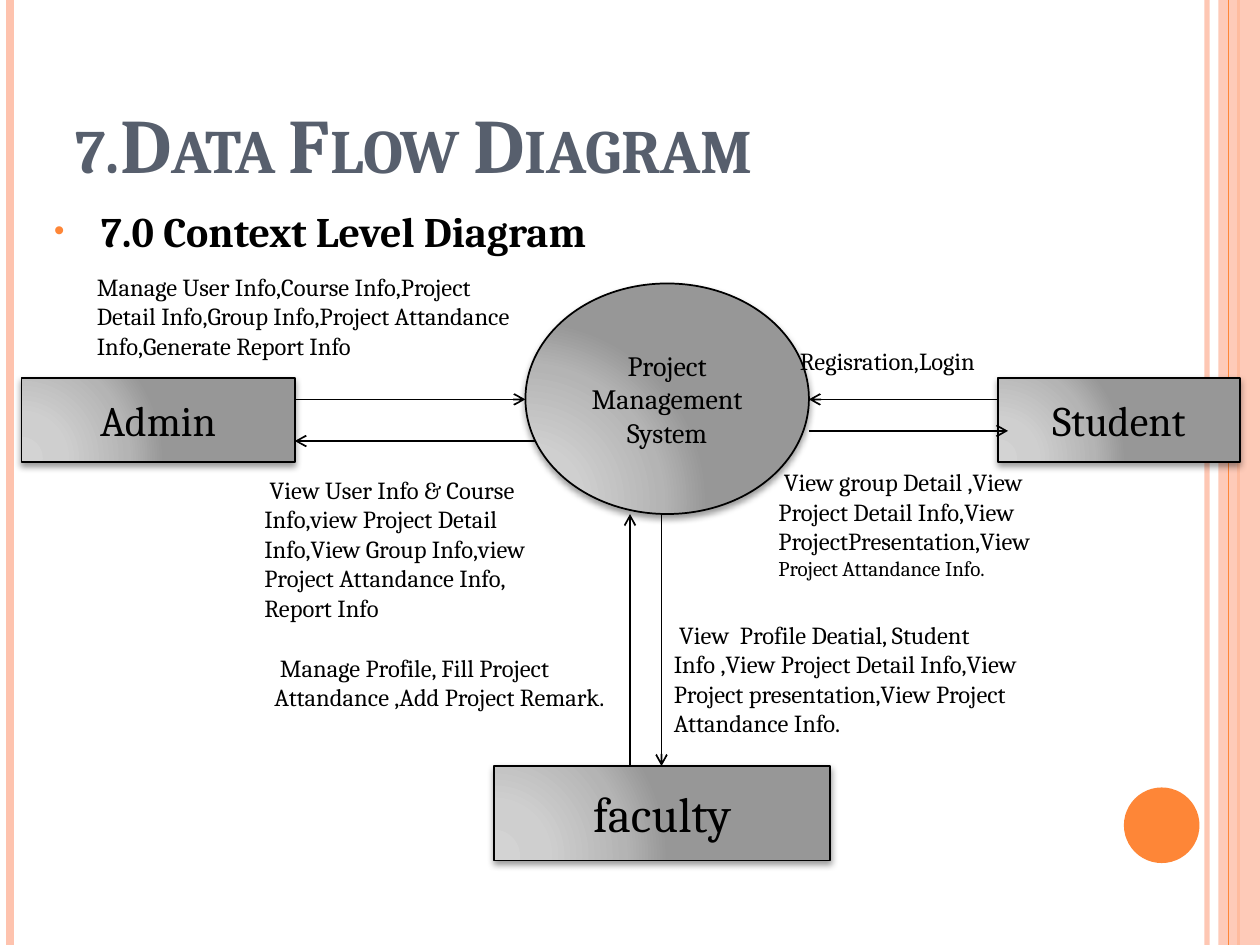
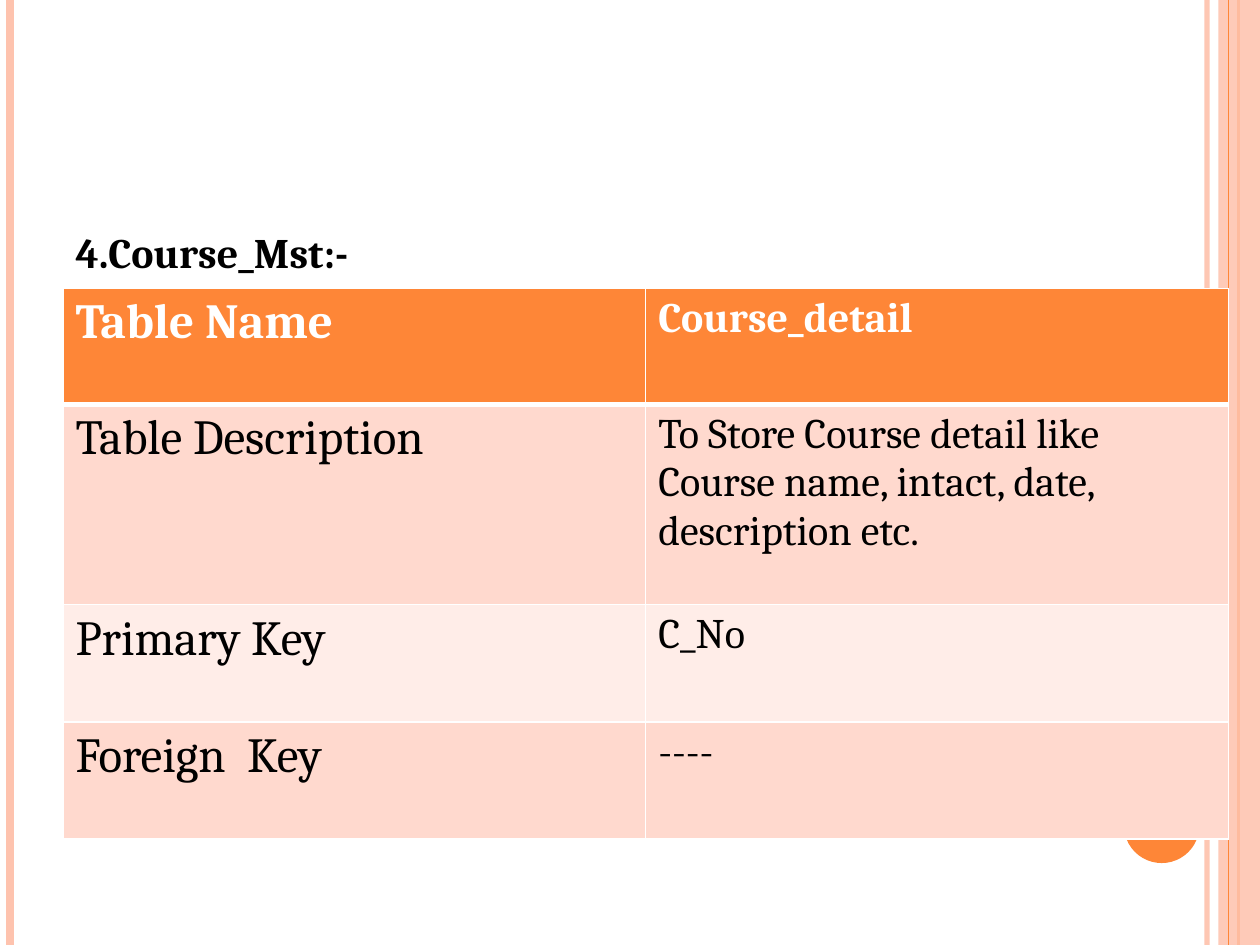
from collections import namedtuple
from dataclasses import dataclass

from lxml import etree
from pptx import Presentation
from pptx.dml.color import RGBColor
from pptx.enum import shapes as kinds, text as txt
from pptx.oxml import ns
from pptx.util import Inches, Pt

Box = namedtuple("Box", "x y w h")


@dataclass(frozen=True)
class Theme:
    font: str = "Cambria"
    ink: str = "000000"
    paper: str = "FFFFFF"
    slate: str = "575F6D"
    accent: str = "FE8637"
    peach: str = "FEC3AE"
    bands: tuple = ("FFD9CE", "FFEDE8")
    greys: tuple = ((0, "D3D3D3"), (30, "CFCFCF"), (75, "B4B4B4"), (100, "979797"))
    title: int = 44
    large: int = 28
    head: int = 24
    node: int = 16
    note: int = 14
    small: int = 12


T = Theme()
FORM, KIND = kinds.MSO_SHAPE, kinds.MSO_CONNECTOR
PAGE = Box(0, 0, 10, 7.5)


def rgb(code):
    return RGBColor.from_string(code)


def sub(parent, tag, **attrs):
    return etree.SubElement(parent, ns.qn(tag), {k: str(v) for k, v in attrs.items()})


def inch(box):
    return [Inches(v) for v in box]


def within(box, x, y, w, h):
    return Box(box.x + x, box.y + y, w, h)


def style(para, size, color=T.ink, bold=False):
    for run in para.runs:
        font = run.font
        font.name, font.size, font.bold = T.font, Pt(size), bold
        font.color.rgb = rgb(color)


def fade(part, alpha):
    """Make the solid colour found in the part see-through."""
    sub(part.find(".//" + ns.qn("a:srgbClr")), "a:alpha", val=alpha * 1000)


def stroke(slide, start, end, color, width):
    line = slide.shapes.add_connector(KIND.STRAIGHT, *inch(start + end))
    line.line.color.rgb = rgb(color)
    line.line.width = Pt(width)
    sub(line._element.spPr, "a:effectLst")
    return line


def solid(slide, form, box, color):
    shape = slide.shapes.add_shape(form, *inch(box))
    shape.shadow.inherit = False
    shape.fill.solid()
    shape.fill.fore_color.rgb = rgb(color)
    shape.line.fill.background()
    return shape


def frame(slide, box):
    """Draw the side bands and the dot shared by all slides."""
    def rule(x, color, width):
        x += box.x
        return stroke(slide, (x, box.y), (x, box.y + box.h), color, width)

    fade(rule(9.58, T.peach, 3).line._ln, 93)
    rule(0.08, T.peach, 4.5)
    rule(9.83, T.accent, 1.5)
    band = solid(slide, FORM.RECTANGLE, within(box, 9.67, 0, 0.33, box.h), T.peach)
    fade(band._element.spPr, 87)
    rule(9.75, T.accent, 0.75)
    solid(slide, FORM.OVAL, within(box, 8.92, 6.25, 0.6, 0.6), T.accent)


def place(holder, box, words):
    holder.left, holder.top, holder.width, holder.height = inch(box)
    frame = holder.text_frame
    frame.text = words
    frame.auto_size = txt.MSO_AUTO_SIZE.NONE
    return frame


def title(slide, box, words):
    frame = place(slide.shapes.title, box, words)
    frame.vertical_anchor = txt.MSO_ANCHOR.BOTTOM
    para = frame.paragraphs[0]
    para.alignment = txt.PP_ALIGN.LEFT
    style(para, T.title, T.slate, True)
    para.runs[0].font._element.set("cap", "small")


def body(slide, box, words, bullet=None):
    para = place(slide.placeholders[1], box, words).paragraphs[0]
    props = para._p.get_or_add_pPr()
    props.set("marL", str(Inches(0.3)))
    props.set("indent", str(Inches(-0.3)))
    if bullet:
        sub(sub(props, "a:buClr"), "a:srgbClr", val=T.accent)
        sub(props, "a:buSzPct", val=70000)
        sub(props, "a:buChar", char=bullet)
    else:
        sub(props, "a:buNone")
    para.space_before = Pt(0)
    style(para, T.head, bold=True)


def node(slide, form, box, words, size):
    """Draw a labelled box with a grey radial fill and a soft shadow."""
    shape = slide.shapes.add_shape(form, *inch(box))
    shape.line.color.rgb = rgb(T.ink)
    shape.line.width = Pt(1)
    props = shape._element.spPr
    grad = etree.Element(ns.qn("a:gradFill"), rotWithShape="1")
    stops = sub(grad, "a:gsLst")
    for pos, color in T.greys:
        sub(sub(stops, "a:gs", pos=pos * 1000), "a:srgbClr", val=color)
    sub(sub(grad, "a:path", path="circle"), "a:fillToRect",
        l=5000, t=100000, r=120000, b=10000)
    props.find(ns.qn("a:ln")).addprevious(grad)
    cast = sub(sub(props, "a:effectLst"), "a:outerShdw", blurRad=Pt(4),
               dist=Pt(2), dir=90 * 60000, rotWithShape=0)
    sub(sub(cast, "a:srgbClr", val=T.ink), "a:alpha", val=40000)
    text = shape.text_frame
    text.text = words
    text.word_wrap = True
    text.vertical_anchor = txt.MSO_ANCHOR.MIDDLE
    para = text.paragraphs[0]
    para.alignment = txt.PP_ALIGN.CENTER
    style(para, size)


def arrow(slide, start, end):
    line = stroke(slide, start, end, T.ink, 1)
    sub(line.line._ln, "a:tailEnd", type="arrow")


def note(slide, box, words, ending=""):
    """Write a flow label, whose ending is set in smaller type."""
    text = slide.shapes.add_textbox(*inch(box)).text_frame
    text.text = words
    text.word_wrap = True
    para = text.paragraphs[0]
    if ending:
        para.add_run().text = ending
    style(para, T.note)
    if ending:
        para.runs[1].font.size = Pt(T.small)


def flow(slide, box):
    """Draw the system, its three users and the data between them."""
    for form, spot, words, size in (
        (FORM.FLOWCHART_CONNECTOR, (4, 0.25, 2.25, 1.83),
         "Project Management System", T.node),
        (FORM.RECTANGLE, (3.75, 4.08, 2.67, 0.75), "faculty", T.large),
        (FORM.RECTANGLE, (0, 1, 2.17, 0.67), "Admin", T.head),
        (FORM.RECTANGLE, (7.75, 1, 1.92, 0.67), "Student", T.head),
    ):
        node(slide, form, within(box, *spot), words, size)
    for x1, y1, x2, y2 in (
        (5.08, 2.08, 5.08, 4.08), (4.83, 4.08, 4.83, 2.08),
        (2.17, 1.17, 4, 1.17), (4.08, 1.5, 2.17, 1.5),
        (7.75, 1.17, 6.25, 1.17), (6.25, 1.42, 7.83, 1.42),
    ):
        arrow(slide, (box.x + x1, box.y + y1), (box.x + x2, box.y + y2))
    for spot, *words in (
        ((0.5, 0.11, 3.67, 0.81), "Manage User Info,Course Info,Project Detail "
         "Info,Group Info,Project Attandance Info,Generate Report Info"),
        ((1.83, 1.72, 2.67, 1.28), " View User Info & Course Info,view Project "
         "Detail Info,View Group Info,view Project Attandance Info, Report Info"),
        ((1.91, 3.13, 3, 0.81),
         " Manage Profile, Fill Project Attandance ,Add Project Remark."),
        ((5.08, 2.87, 3.17, 1.28), " View  Profile Deatial, Student Info ,View "
         "Project Detail Info,View Project presentation,View Project "
         "Attandance Info."),
        ((6.08, 0.7, 1.83, 0.34), "Regisration,Login"),
        ((5.91, 1.66, 2.58, 1.01), " View group Detail ,View Project Detail "
         "Info,View ProjectPresentation,View ", "Project Attandance Info."),
    ):
        note(slide, within(box, *spot), *words)


def edge(cell, bottom):
    """Rule the cell in white, with the given width below it."""
    props = cell._tc.get_or_add_tcPr()
    for side, width in zip("LRTB", (1, 1, 1, bottom)):
        line = sub(props, "a:ln" + side, w=Pt(width))
        sub(sub(line, "a:solidFill"), "a:srgbClr", val=T.paper)


def grid(slide, box, rows, heights):
    table = slide.shapes.add_table(len(rows), 2, *inch(box)).table
    for col in table.columns:
        col.width = Inches(box.w / 2)
    for r, (row, high) in enumerate(zip(rows, heights)):
        table.rows[r].height = Inches(high)
        for c, words in enumerate(row):
            cell = table.cell(r, c)
            edge(cell, 1 if r else 3)
            cell.fill.solid()
            cell.fill.fore_color.rgb = rgb(T.bands[(r - 1) % 2] if r else T.accent)
            cell.text = words
            style(cell.text_frame.paragraphs[0], T.head if c else T.large,
                  T.ink if r else T.paper, r == 0)


def context(slide):
    title(slide, Box(0.5, 0.3, 8.17, 1.25), "7.Data Flow Diagram")
    body(slide, Box(0.33, 1.58, 9.3, 5.58), " 7.0 Context Level Diagram", "•")
    flow(slide, Box(0.17, 2, 9.67, 4.83))


def course(slide):
    holder = slide.shapes.title._element
    holder.getparent().remove(holder)
    body(slide, Box(0.5, 1.75, 8.17, 5.33), "4.Course_Mst:-")
    grid(slide, Box(0.5, 2.29, 9.25, 4.37), (
        ("Table Name", "Course_detail"),
        ("Table Description", "To Store Course detail like Course name, "
         "intact, date, description etc."),
        ("Primary Key", "C_No"),
        ("Foreign  Key", "----"),
    ), (0.92, 1.59, 0.93, 0.93))


def main():
    deck = Presentation()
    deck.slide_width, deck.slide_height = Inches(PAGE.w), Inches(PAGE.h)
    for fill in (context, course):
        slide = deck.slides.add_slide(deck.slide_layouts[1])
        frame(slide, PAGE)
        fill(slide)
    deck.save("out.pptx")


if __name__ == "__main__":
    main()
